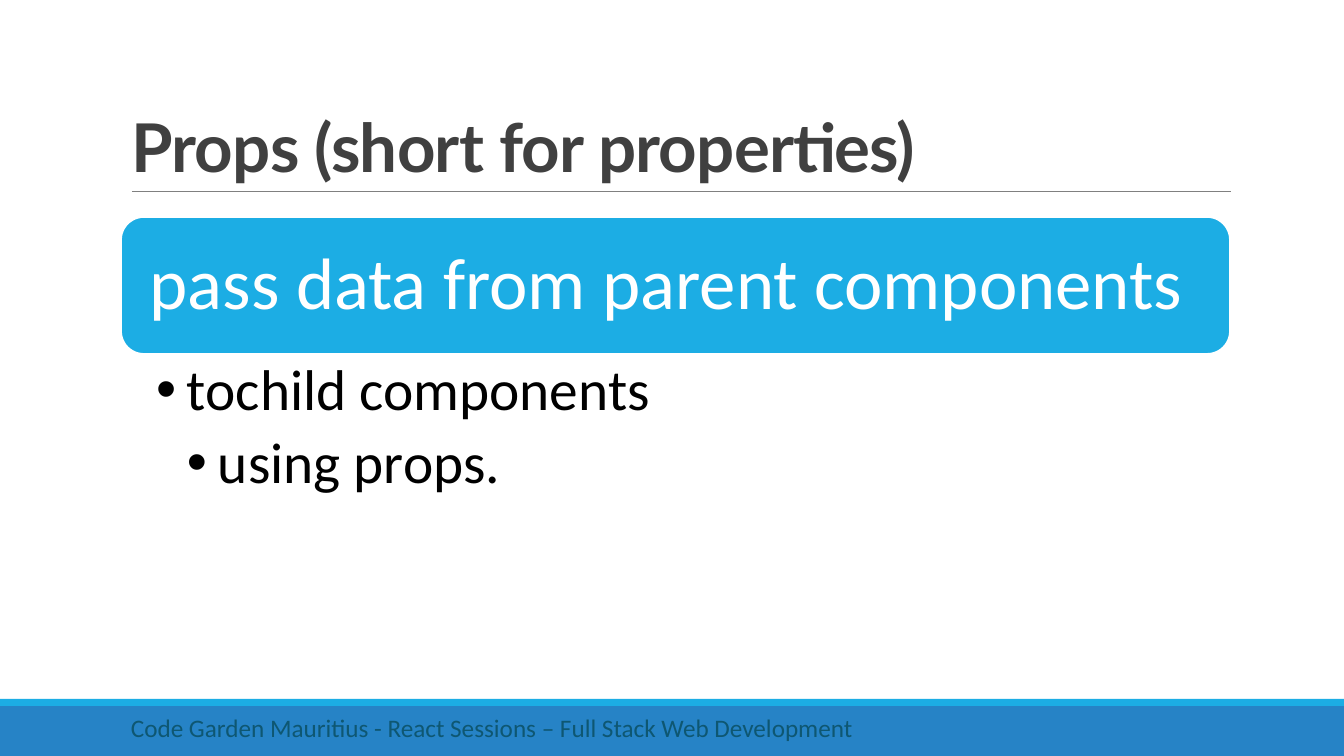
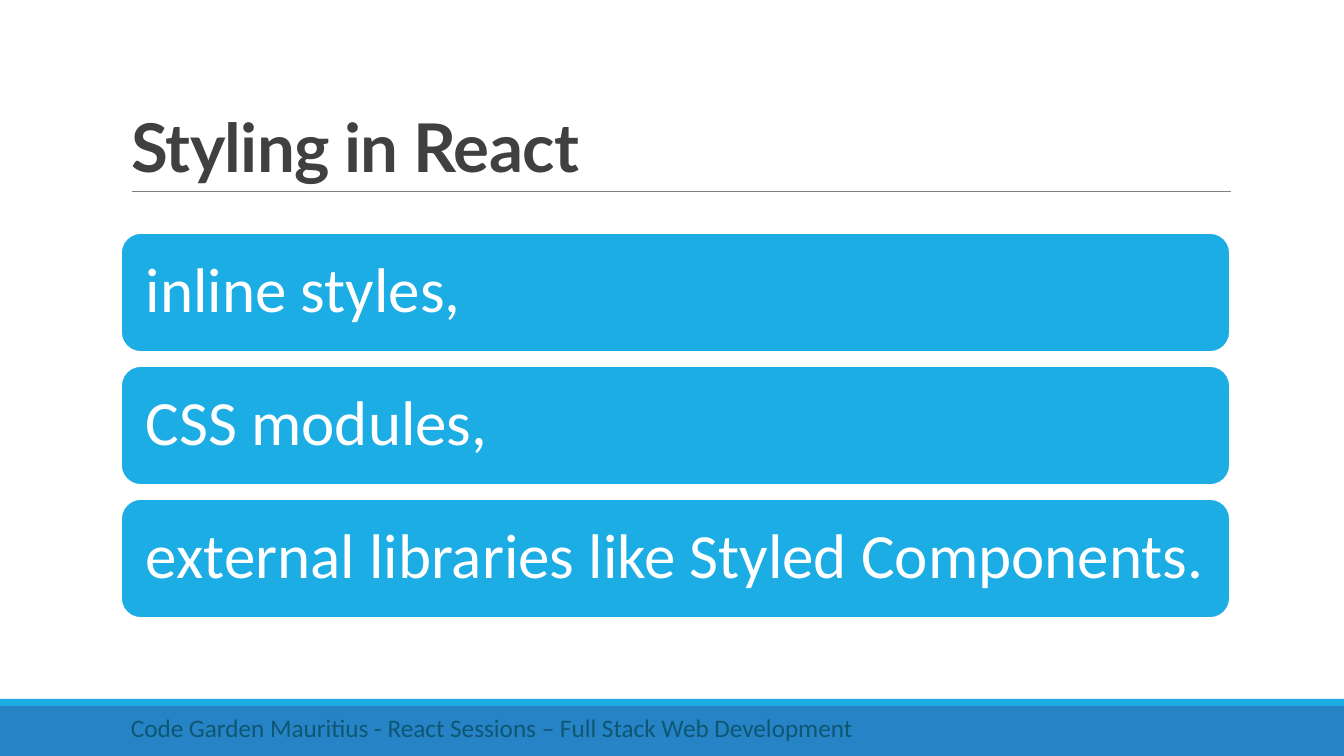
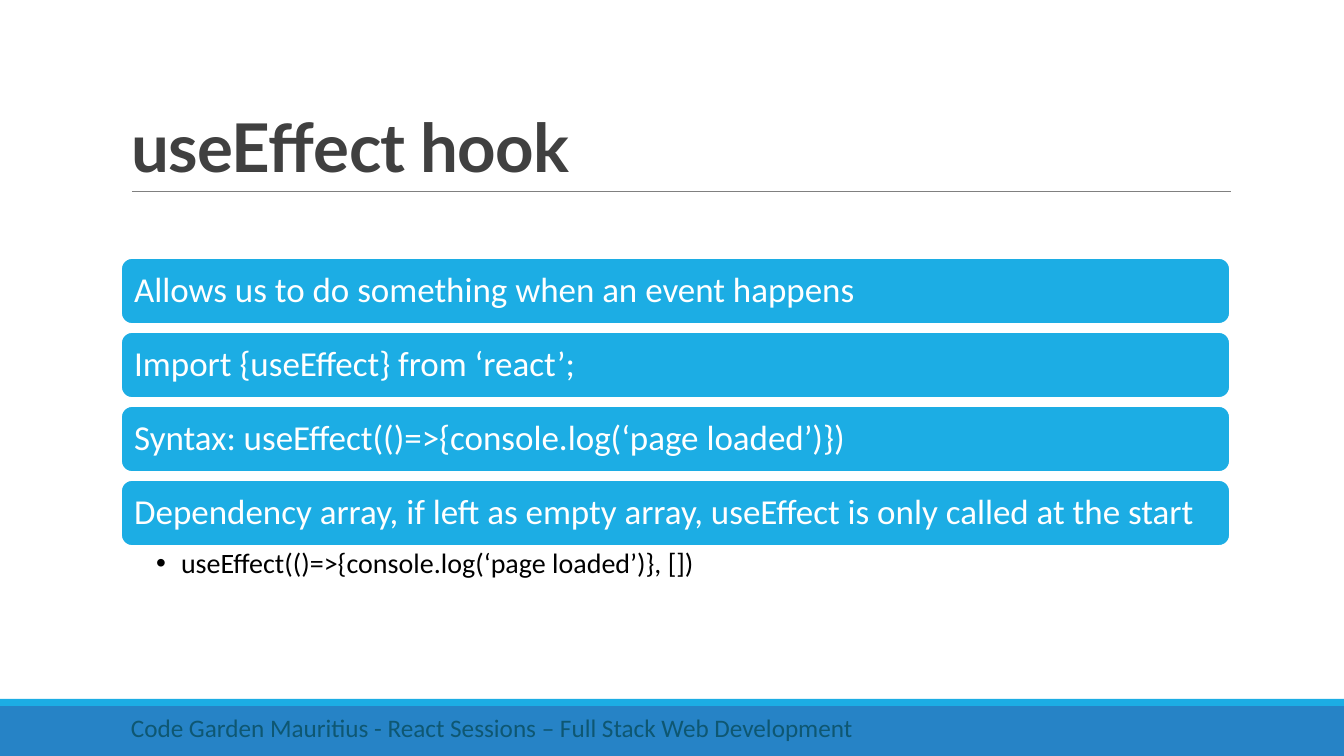
"""Build three slides of a React course: props, styling and the useEffect hook."""
from pptx import Presentation
from pptx import util as u
from pptx.dml.color import RGBColor
from pptx.enum import shapes, text
from pptx.oxml.ns import qn
from lxml import etree

PX = 12192000 / 1344
COLORS = {
    "band": "2683C6", "accent": "1CADE4", "rule": "808080", "title": "404040",
    "footer": "0E5772", "white": "FFFFFF", "black": "000000",
}
FOOTER = "Code Garden Mauritius - React Sessions – Full Stack Web Development"
LEFT, WIDTH = 121, 1109

TOPICS = [
    {"title": "Props (short for properties)",
     "cards": ["pass data from parent components"],
     "top": 217, "height": 137, "gap": 0, "inset": 22, "size": 52,
     "details": ["tochild components", "using props."],
     "detail_size": 41, "indent": 31, "detail_height": 157, "detail_inset": 7},
    {"title": "Styling in React",
     "cards": ["inline styles,", "CSS modules,",
               "external libraries like Styled Components."],
     "top": 233, "height": 119, "gap": 14, "inset": 19, "size": 45,
     "details": []},
    {"title": "useEffect hook",
     "cards": ["Allows us to do something when an event happens",
               "Import {useEffect} from ‘react’;",
               "Syntax: useEffect(()=>{console.log(‘page loaded’)})",
               "Dependency array, if left as empty array, useEffect is only called at the start"],
     "top": 258, "height": 66, "gap": 8, "inset": 10, "size": 25,
     "details": ["useEffect(()=>{console.log(‘page loaded’)}, [])"],
     "detail_size": 20, "indent": 25, "detail_height": 45, "detail_inset": 3},
]


def px(*lengths):
    return [u.Emu(round(length * PX)) for length in lengths]


def style(paragraph, size, color, font="Calibri", spacing=0.9):
    paragraph.alignment = text.PP_ALIGN.LEFT
    paragraph.line_spacing = spacing
    paragraph.space_before = u.Pt(0)
    for run in paragraph.runs:
        run.font.name = font
        run.font.size = u.Pt(size)
        run.font.color.rgb = RGBColor.from_string(COLORS[color])


prs = Presentation()
prs.slide_width, prs.slide_height = px(1344, 756)
layout = prs.slide_layouts[1]
for placeholder in list(layout.placeholders)[2:]:
    placeholder.element.getparent().remove(placeholder.element)
layout_title = layout.placeholders[0]
layout_title.left, layout_title.top, layout_title.width, layout_title.height = px(LEFT, 31, WIDTH, 160)
slides = [prs.slides.add_slide(layout) for topic in TOPICS]

decor = []
for top, height, color in [(706, 50, "band"), (699, 7, "accent")]:
    band = slides[0].shapes.add_shape(shapes.MSO_SHAPE.RECTANGLE, *px(0, top, 1344, height))
    band.shadow.inherit = False
    band.fill.solid()
    band.fill.fore_color.rgb = RGBColor.from_string(COLORS[color])
    band.line.fill.background()
    decor.append(band)
rule = slides[0].shapes.add_connector(shapes.MSO_CONNECTOR.STRAIGHT, *px(132, 191, 1231, 191))
rule.line.color.rgb = RGBColor.from_string(COLORS["rule"])
rule.line.width = u.Pt(0.5)
etree.SubElement(rule.element.spPr, qn("a:effectLst"))
decor.append(rule)
for part in decor:
    layout_title.element.addprevious(part.element)

for slide, topic in zip(slides, TOPICS):
    title = slide.shapes.title.text_frame
    title.text = topic["title"]
    title.vertical_anchor = text.MSO_ANCHOR.BOTTOM
    title.auto_size = text.MSO_AUTO_SIZE.NONE
    style(title.paragraphs[0], 48, "title", "Lato", 0.85)
    title_font = title.paragraphs[0].runs[0].font
    title_font.bold = True
    title.paragraphs[0].runs[0]._r.get_or_add_rPr().set("spc", "-50")

    top = topic["top"]
    for label in topic["cards"]:
        card = slide.shapes.add_shape(
            shapes.MSO_SHAPE.ROUNDED_RECTANGLE, *px(LEFT, top, WIDTH, topic["height"]))
        card.shadow.inherit = False
        card.fill.solid()
        card.fill.fore_color.rgb = RGBColor.from_string(COLORS["accent"])
        card.line.color.rgb = RGBColor.from_string(COLORS["white"])
        card.line.width = u.Pt(1.25)
        frame = card.text_frame
        frame.margin_left, frame.margin_top, frame.margin_right, frame.margin_bottom = px(*[topic["inset"]] * 4)
        frame.vertical_anchor = text.MSO_ANCHOR.MIDDLE
        frame.word_wrap = True
        frame.text = label
        style(frame.paragraphs[0], topic["size"], "white")
        top += topic["height"] + topic["gap"]

    details = slide.placeholders[1]
    if topic["details"]:
        details.left, details.top, details.width, details.height = px(
            LEFT, top - topic["gap"], WIDTH, topic["detail_height"])
        frame = details.text_frame
        inset = topic["detail_inset"]
        frame.margin_left, frame.margin_top, frame.margin_right, frame.margin_bottom = px(35, inset, 19, inset)
        frame.vertical_anchor = text.MSO_ANCHOR.TOP
        frame.auto_size = text.MSO_AUTO_SIZE.NONE
        frame.text = "\n".join(topic["details"])
        for level, paragraph in enumerate(frame.paragraphs, 1):
            paragraph.level = level
            style(paragraph, topic["detail_size"], "black")
            paragraph.space_after = u.Pt(round(topic["detail_size"] * 0.2))
            margin, indent = px(level * topic["indent"], -topic["indent"])
            properties = paragraph._p.get_or_add_pPr()
            properties.set("marL", str(margin))
            properties.set("indent", str(indent))
            etree.SubElement(properties, qn("a:buChar")).set("char", "•")
    else:
        details.element.getparent().remove(details.element)

    footer = slide.shapes.add_textbox(*px(LEFT, 707, 784, 40)).text_frame
    footer.word_wrap = True
    footer.auto_size = text.MSO_AUTO_SIZE.SHAPE_TO_FIT_TEXT
    footer.text = FOOTER
    style(footer.paragraphs[0], 18, "footer", spacing=1.0)

prs.save("out.pptx")
